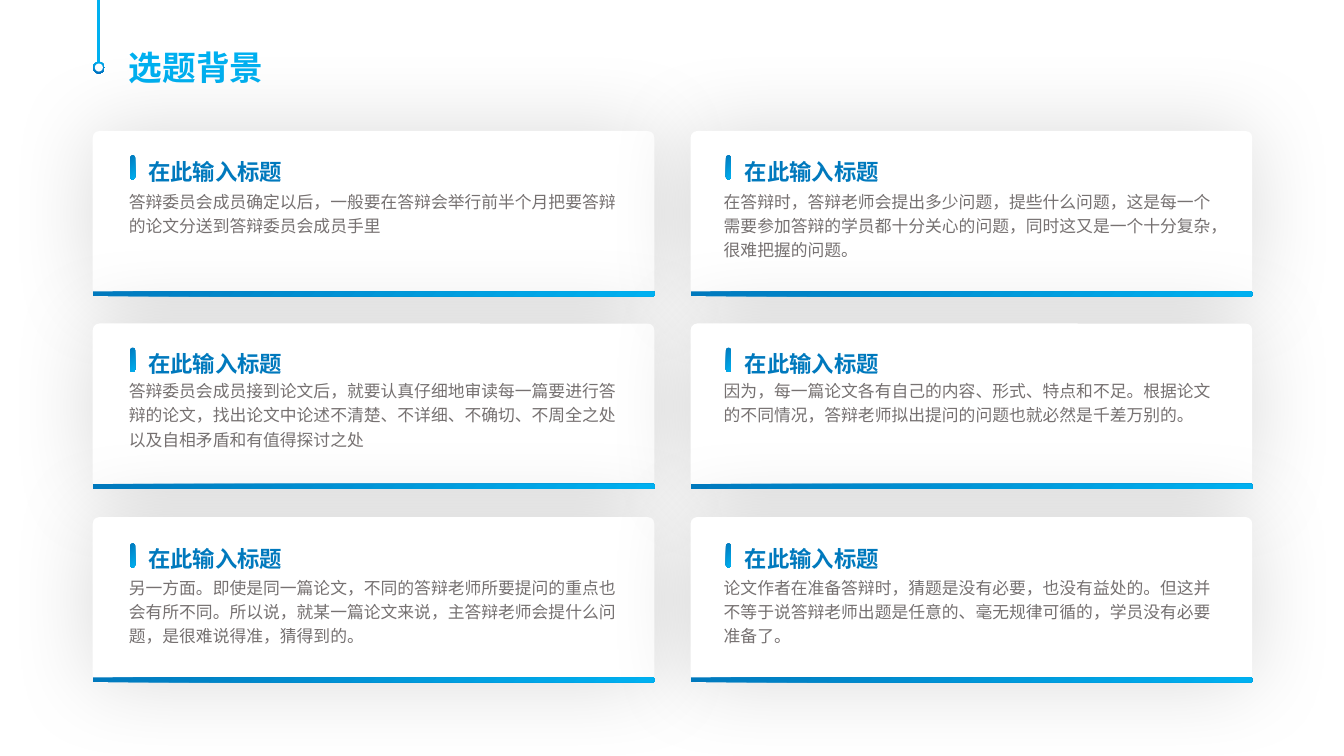
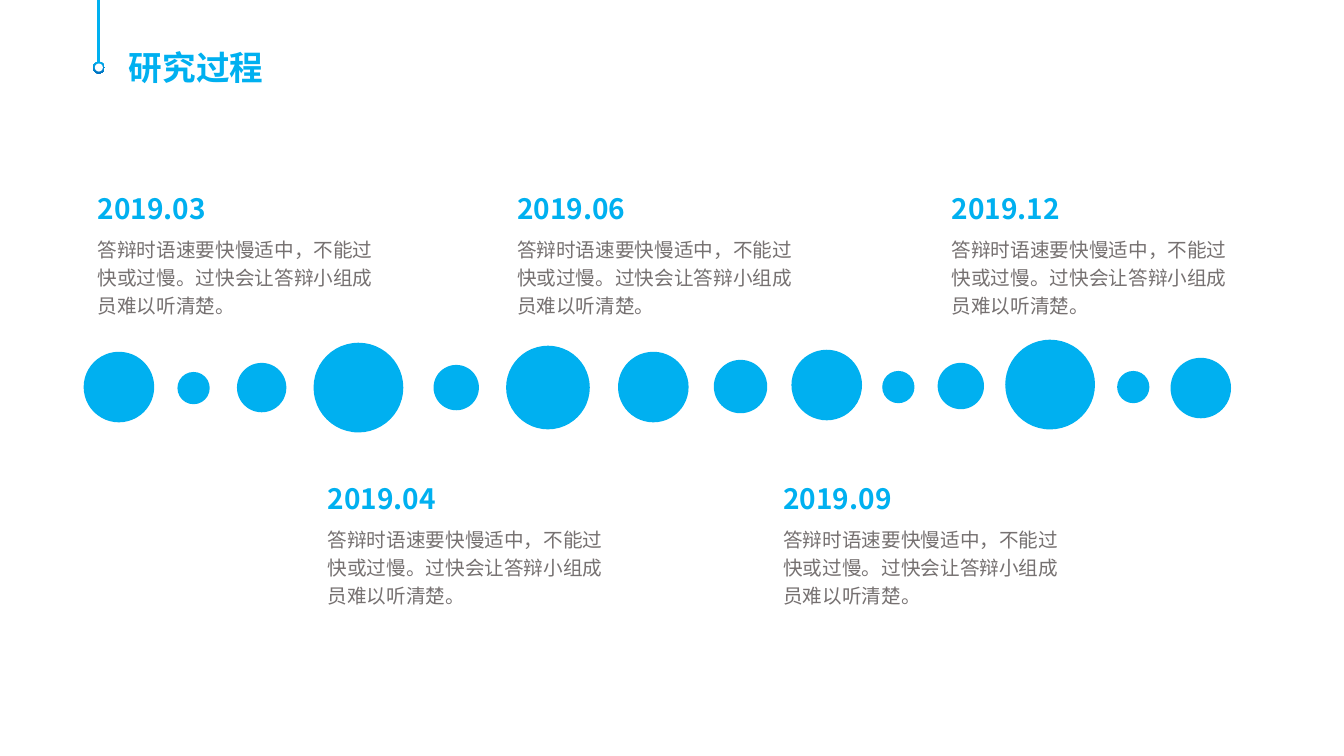
import pptx
import pptx.dml.color
import pptx.enum.dml
import pptx.enum.lang
import pptx.enum.shapes
import pptx.enum.text
import pptx.oxml
import pptx.oxml.ns
import pptx.util
from pptx.util import Inches

COLORS = {
    "sky": "00B0F0",
    "blue": "0070C0",
    "deep": "0079BD",
    "grey": "767171",
    "white": "FFFFFF",
    "black": "000000",
}
FONT = "Noto Sans CJK SC"
SHAPES = pptx.enum.shapes.MSO_SHAPE
ACCENT = ("deep", "sky", 45)
PIN = ("sky", "blue", 90)

# Card columns: left edges of the card, marker, heading and body
COLUMNS = [(0.92, 1.29, 1.37, 1.18), (6.85, 7.2, 7.29, 7.08)]
# Card rows: top edges of the card, marker, heading and body
ROWS = [(1.3, 1.54, 1.47, 1.81), (3.21, 3.45, 3.37, 3.69), (5.13, 5.39, 5.31, 5.64)]
CARD_WIDTH, CARD_HEIGHT, STRIPE = 5.57, 1.64, 0.05
CARD_HEADING = "在此输入标题"
CARD_BODIES = [
    [
        "答辩委员会成员确定以后，一般要在答辩会举行前半个月把要答辩的论文分送到答辩委员会成员手里",
        "答辩委员会成员接到论文后，就要认真仔细地审读每一篇要进行答辩的论文，找出论文中论述不清楚、"
        "不详细、不确切、不周全之处以及自相矛盾和有值得探讨之处",
        "另一方面。即使是同一篇论文，不同的答辩老师所要提问的重点也会有所不同。所以说，"
        "就某一篇论文来说，主答辩老师会提什么问题，是很难说得准，猜得到的。",
    ],
    [
        "在答辩时，答辩老师会提出多少问题，提些什么问题，这是每一个需要参加答辩的学员都十分关心的问题，"
        "同时这又是一个十分复杂，很难把握的问题。",
        "因为，每一篇论文各有自己的内容、形式、特点和不足。根据论文的不同情况，"
        "答辩老师拟出提问的问题也就必然是千差万别的。",
        "论文作者在准备答辩时，猜题是没有必要，也没有益处的。但这并不等于说答辩老师出题是任意的、"
        "毫无规律可循的，学员没有必要准备了。",
    ],
]

# Timeline dots: left, top, diameter
DOTS = [
    (0.83, 3.49, 0.7), (1.76, 3.69, 0.32), (2.35, 3.6, 0.49), (3.11, 3.4, 0.89),
    (4.3, 3.62, 0.45), (5.02, 3.43, 0.83), (6.13, 3.49, 0.7), (7.08, 3.57, 0.53),
    (7.85, 3.47, 0.7), (8.75, 3.68, 0.32), (9.3, 3.6, 0.46), (9.97, 3.37, 0.89),
    (11.08, 3.68, 0.32), (11.61, 3.55, 0.6),
]
UPPER, LOWER = 1.78, 4.66
MILESTONES = [
    ("2019.03", 0.87, UPPER), ("2019.04", 3.15, LOWER), ("2019.06", 5.03, UPPER),
    ("2019.09", 7.67, LOWER), ("2019.12", 9.34, UPPER),
]
MILESTONE_BODY = "答辩时语速要快慢适中，不能过快或过慢。过快会让答辩小组成员难以听清楚。"


def rgb(color):
    return pptx.dml.color.RGBColor.from_string(COLORS[color])


def add_block(slide, kind, box, fill, corner=None):
    """Add a borderless shape; fill is a colour or (start, end, clockwise angle)."""
    block = slide.shapes.add_shape(kind, *map(Inches, box))
    block.shadow.inherit = False
    block.line.fill.background()
    if corner is not None:
        block.adjustments[0] = corner
    if isinstance(fill, str):
        block.fill.solid()
        block.fill.fore_color.rgb = rgb(fill)
    else:
        start, end, angle = fill
        block.fill.gradient()
        block.fill.gradient_angle = 360 - angle
        for stop, color in zip(block.fill.gradient_stops, (start, end)):
            stop.color.rgb = rgb(color)
    return block


def add_glow_shadow(block):
    """Give a block a soft shadow that spreads evenly on all sides."""
    effects = block._element.spPr.find(pptx.oxml.ns.qn("a:effectLst"))
    effects.append(pptx.oxml.parse_xml(
        f'<a:outerShdw {pptx.oxml.ns.nsdecls("a")} blurRad="{pptx.util.Pt(63)}" dist="0" '
        f'algn="ctr" rotWithShape="0"><a:srgbClr val="{COLORS["black"]}">'
        '<a:alpha val="14000"/></a:srgbClr></a:outerShdw>'))


def add_text(slide, text, box, size, color, bold=False, wrap=False):
    frame = slide.shapes.add_textbox(*map(Inches, box)).text_frame
    frame.word_wrap = wrap
    frame.auto_size = pptx.enum.text.MSO_AUTO_SIZE.SHAPE_TO_FIT_TEXT
    paragraph = frame.paragraphs[0]
    paragraph.text = text
    paragraph.line_spacing = 1.2
    font = paragraph.font
    font.size = pptx.util.Pt(size)
    font.bold = bold
    font.color.rgb = rgb(color)
    font.language_id = pptx.enum.lang.MSO_LANGUAGE_ID.SIMPLIFIED_CHINESE
    font.name = FONT
    font._element.append(pptx.oxml.parse_xml(
        f'<a:ea {pptx.oxml.ns.nsdecls("a")} typeface="{FONT}"/>'))


def add_titled_slide(deck, title):
    """Add a blank slide with the hanging pin and the title."""
    slide = deck.slides.add_slide(deck.slide_layouts[6])
    add_text(slide, title, (1.18, 0.34, 1.55, 0.54), 24, "sky", bold=True)
    string = slide.shapes.add_connector(
        pptx.enum.shapes.MSO_CONNECTOR.STRAIGHT, Inches(0.98), 0, Inches(0.98), Inches(0.65))
    string.line.color.rgb = rgb("sky")
    string.line.width = pptx.util.Pt(2.25)
    string._element.spPr.append(
        pptx.oxml.parse_xml(f'<a:effectLst {pptx.oxml.ns.nsdecls("a")}/>'))
    add_block(slide, SHAPES.OVAL, (0.92, 0.61, 0.12, 0.12), PIN)
    add_block(slide, SHAPES.OVAL, (0.94, 0.63, 0.08, 0.08), "white")
    return slide


def add_card_panel(slide, column, row):
    panel = add_block(slide, SHAPES.ROUNDED_RECTANGLE,
                      (column[0], row[0], CARD_WIDTH, CARD_HEIGHT), "white", 0.04)
    add_glow_shadow(panel)


def add_card_content(slide, column, row, body):
    card, marker, heading, text = zip(column, row)
    add_text(slide, body, (*text, 5.14, 0.82), 12, "grey", wrap=True)
    add_text(slide, CARD_HEADING, (*heading, 1.55, 0.4), 16, "deep", bold=True)
    stripe_top = card[1] + CARD_HEIGHT - STRIPE
    add_block(slide, SHAPES.ROUNDED_RECTANGLE,
              (card[0], stripe_top, CARD_WIDTH, STRIPE), ACCENT)
    add_block(slide, SHAPES.ROUNDED_RECTANGLE, (*marker, 0.05, 0.24), ACCENT, 0.5)


def add_milestone(slide, date, left, top):
    add_text(slide, date, (left, top, 1.32, 0.47), 20, "sky", bold=True)
    add_text(slide, MILESTONE_BODY, (left, top + 0.48, 3.08, 0.93), 14, "grey", wrap=True)


def build_background(deck):
    slide = add_titled_slide(deck, "选题背景")
    # All panels go first so that no shadow covers a card's text
    for column in COLUMNS:
        for row in ROWS:
            add_card_panel(slide, column, row)
    for column, bodies in zip(COLUMNS, CARD_BODIES):
        for row, body in zip(ROWS, bodies):
            add_card_content(slide, column, row, body)


def build_process(deck):
    slide = add_titled_slide(deck, "研究过程")
    for left, top, diameter in DOTS:
        add_block(slide, SHAPES.OVAL, (left, top, diameter, diameter), "sky")
    for milestone in MILESTONES:
        add_milestone(slide, *milestone)


def main():
    deck = pptx.Presentation()
    deck.slide_width = Inches(13.33)
    deck.slide_height = Inches(7.5)
    build_background(deck)
    build_process(deck)
    deck.save("out.pptx")


if __name__ == "__main__":
    main()
